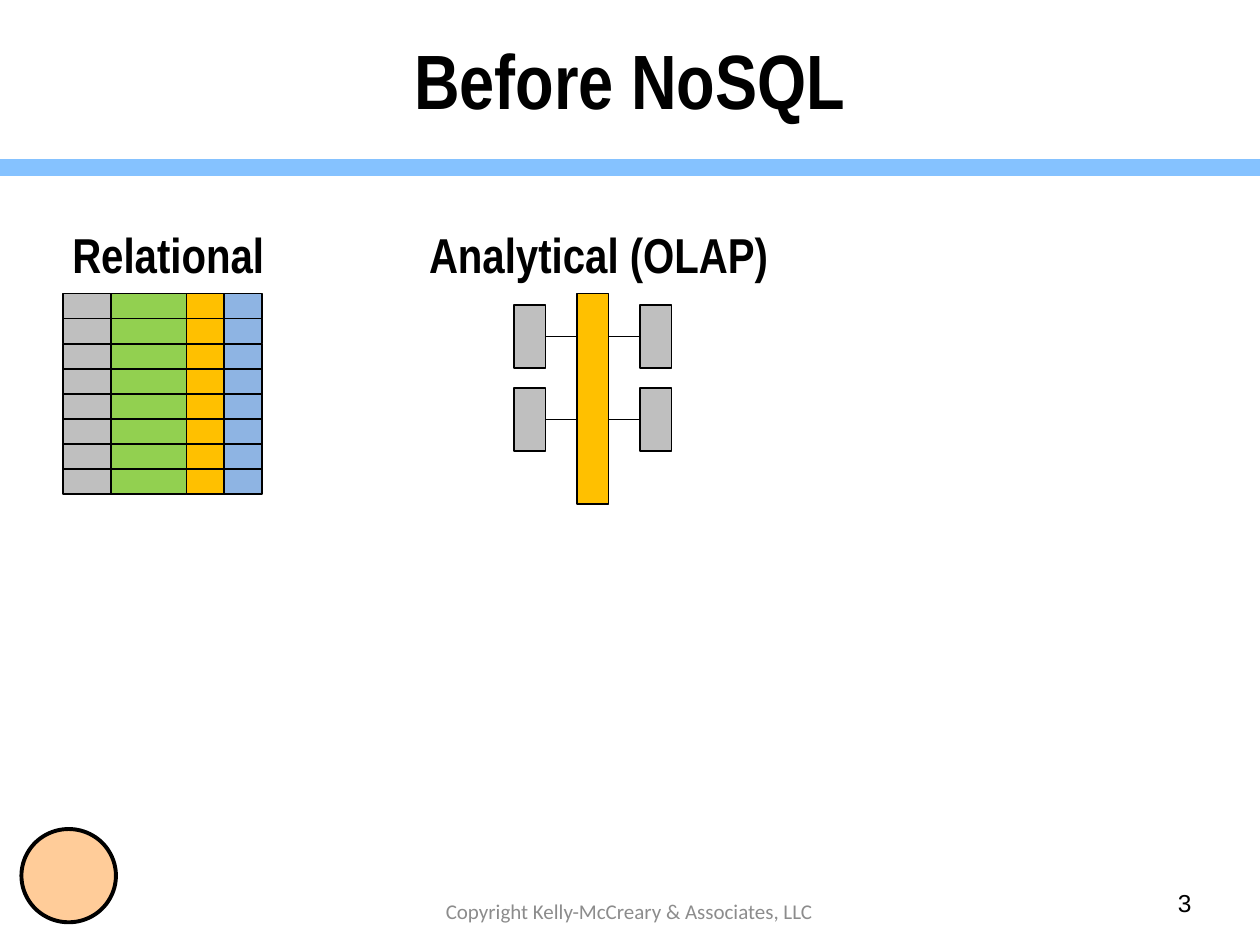
from pptx import Presentation
from pptx.dml.color import RGBColor
from pptx.enum.shapes import MSO_CONNECTOR, MSO_SHAPE
from pptx.enum.text import MSO_ANCHOR, PP_ALIGN
from pptx.oxml.ns import qn
from pptx.util import Inches, Pt
from lxml import etree

RECT, OVAL = MSO_SHAPE.RECTANGLE, MSO_SHAPE.OVAL
STRAIGHT = MSO_CONNECTOR.STRAIGHT
CENTER, LEFT = PP_ALIGN.CENTER, PP_ALIGN.LEFT
MIDDLE, TOP = MSO_ANCHOR.MIDDLE, MSO_ANCHOR.TOP
LEFT_SIDE, RIGHT_SIDE = 1, 3

COLORS = {
    "black": "000000", "rule": "85C2FF", "gray": "BFBFBF", "green": "92D050",
    "amber": "FFC000", "blue": "8EB4E3", "footer": "8C8C8C", "peach": "FFCC99",
}
TITLE = {"name": "Arial Narrow", "size": Pt(44), "bold": True}
HEADING = {"name": "Arial Narrow", "size": Pt(28), "bold": True}
NUMBER = {"name": "Arial", "size": Pt(14)}
FOOTER = {"name": "Calibri", "size": Pt(12)}


def rgb(color):
    return RGBColor.from_string(COLORS[color])


def write(shape, text, font, color="black", align=CENTER, anchor=MIDDLE):
    frame = shape.text_frame
    frame.word_wrap = True
    frame.vertical_anchor = anchor
    paragraph = frame.paragraphs[0]
    paragraph.alignment = align
    run = paragraph.add_run()
    run.text = text
    for attribute, value in font.items():
        setattr(run.font, attribute, value)
    run.font.color.rgb = rgb(color)


def add_text(slide, box, text, font, **options):
    textbox = slide.shapes.add_textbox(*map(Inches, box))
    write(textbox, text, font, **options)


def add_block(shapes, kind, box, fill, weight=1):
    block = shapes.add_shape(kind, *map(Inches, box))
    block.shadow.inherit = False
    block.fill.solid()
    block.fill.fore_color.rgb = rgb(fill)
    block.line.color.rgb = rgb("black")
    block.line.width = Pt(weight)
    return block


def add_line(shapes, start, end, color, weight):
    line = shapes.add_connector(STRAIGHT, *map(Inches, (*start, *end)))
    line.line.color.rgb = rgb(color)
    line.line.width = Pt(weight)
    etree.SubElement(line._element.spPr, qn("a:effectLst"))
    return line


def add_header(slide, box, text):
    left, top, width, height = box
    title = slide.shapes.title
    title.left, title.top, title.width, title.height = map(Inches, box)
    write(title, text, TITLE)
    rule_y = top + height + 0.08
    add_line(slide.shapes, (0, rule_y), (10, rule_y), "rule", 10)


def add_relational(slide, box):
    """Grid of rows with one color per column."""
    left, top, width, height = box
    grid = slide.shapes.add_group_shape().shapes
    columns = [("gray", 0.38), ("green", 0.6), ("amber", 0.3), ("blue", 0.3)]
    rows = 8
    scale = width / sum(share for _, share in columns)
    row_height = height / rows
    for color, share in columns:
        for row in range(rows):
            cell = (left, top + row * row_height, share * scale, row_height)
            add_block(grid, RECT, cell, color)
        left += share * scale


def add_star_schema(slide, box):
    """Central fact table with two dimensions on each side."""
    left, top, width, height = box
    star = slide.shapes.add_group_shape().shapes
    bar, dimension_height = width / 5, 0.5
    fact_left = left + 2 * bar
    add_block(star, RECT, (fact_left, top, bar, height), "amber")
    sides = [(left, RIGHT_SIDE, fact_left),
             (left + 4 * bar, LEFT_SIDE, fact_left + bar)]
    for dimension_left, side, fact_edge in sides:
        for offset in (0.09, 0.75):
            dimension_top = top + offset
            dimension = add_block(
                star, RECT, (dimension_left, dimension_top, bar, dimension_height), "gray")
            middle = dimension_top + dimension_height / 2
            spoke = add_line(star, (dimension_left, middle), (fact_edge, middle), "black", 0.75)
            spoke.begin_connect(dimension, side)


def add_footer(slide, box):
    left, top, width, height = box
    # Plain mark in the corner
    add_block(slide.shapes, OVAL, (left + 0.17, top, 0.75, 0.74), "peach", 2.25)
    add_text(slide, (left + 9.25, top + 0.42, 0.5, 0.33), "3", NUMBER,
             align=LEFT, anchor=TOP)
    add_text(slide, (left + 2.83, top + 0.5, 4.33, 0.3),
             "Copyright Kelly-McCreary & Associates, LLC", FOOTER,
             color="footer", anchor=TOP)


def main():
    deck = Presentation()
    deck.slide_width, deck.slide_height = Inches(10), Inches(7.5)
    slide = deck.slides.add_slide(deck.slide_layouts[5])

    add_header(slide, (0.5, 0, 9, 1.25), "Before NoSQL")

    # Database models
    add_text(slide, (0.42, 1.75, 1.83, 0.53), "Relational", HEADING)
    add_relational(slide, (0.5, 2.33, 1.58, 1.59))
    add_text(slide, (3.25, 1.75, 3, 0.53), "Analytical (OLAP)", HEADING)
    add_star_schema(slide, (4.08, 2.33, 1.25, 1.67))

    add_footer(slide, (0, 6.58, 10, 0.92))
    deck.save("out.pptx")


if __name__ == "__main__":
    main()
